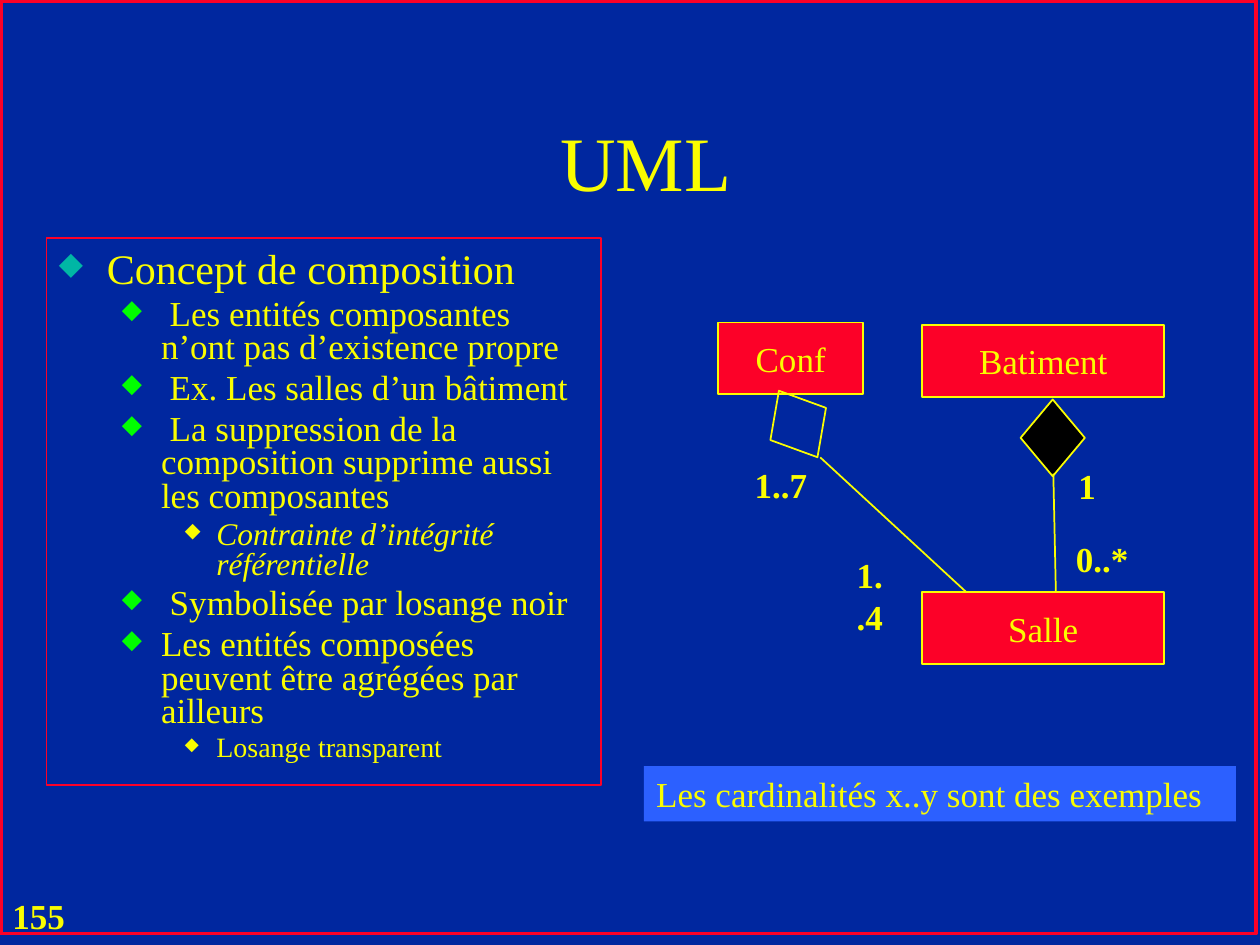
"""Build a UML slide that explains composition with a small class diagram."""
from lxml.etree import SubElement
from pptx import Presentation
from pptx.dml.color import RGBColor as Rgb
from pptx.enum.shapes import MSO_CONNECTOR as Connector, MSO_SHAPE as Preset
from pptx.enum.text import MSO_ANCHOR as Anchor, PP_ALIGN as Align
from pptx.oxml.ns import qn
from pptx.util import Inches, Pt

THEME = {
    "font": "Times New Roman",
    "background": "00279F", "text": "FAFD00", "frame": "FC0128", "entity": "FC0128",
    "note": "2C60FF", "composition": "000000",
    "title": 44, "label": 20,
}
LEVELS = [
    {"indent": 0.38, "hang": 0.38, "bullet": "00B7A5", "share": 75},
    {"indent": 0.81, "hang": 0.31, "bullet": "00FF00", "share": 75},
    {"indent": 1.25, "hang": 0.25, "bullet": "FAFD00", "share": 65},
]

deck = Presentation()
deck.slide_width, deck.slide_height = Inches(10), Inches(7.5)
COL, ROW = deck.slide_width / 100, deck.slide_height / 75
slide = deck.slides.add_slide(deck.slide_layouts[6])
slide.background.fill.solid()
slide.background.fill.fore_color.rgb = Rgb.from_string(THEME["background"])


def draw(preset, left, top, width, height, fill=None, line=None, weight=1):
    """Place a preset shape, or a text box when preset is None, on the grid."""
    place = [round(n) for n in (left * COL, top * ROW, width * COL, height * ROW)]
    if preset is None:
        return slide.shapes.add_textbox(*place)
    part = slide.shapes.add_shape(preset, *place)
    part.shadow.inherit = False
    for paint, color in ((part.fill, fill), (part.line.fill, line)):
        if color:
            paint.solid()
            paint.fore_color.rgb = Rgb.from_string(THEME[color])
        else:
            paint.background()
    if line:
        part.line.width = Pt(weight)
    return part


def write(paragraph, words, size=THEME["label"], align=Align.LEFT, **style):
    """Write one run in the theme's font and text colour."""
    paragraph.alignment = align
    run = paragraph.add_run()
    run.text = words
    run.font.color.rgb = Rgb.from_string(THEME["text"])
    for key, value in {"name": THEME["font"], "size": Pt(size), **style}.items():
        setattr(run.font, key, value)


draw(Preset.RECTANGLE, 0.1, 0.1, 99.6, 74, line="frame", weight=2)

title = draw(None, 9.4, 6.5, 85, 12.5).text_frame
title.word_wrap = True
title.vertical_anchor = Anchor.MIDDLE
write(title.paragraphs[0], "UML ", THEME["title"], Align.CENTER)

concept = draw(Preset.RECTANGLE, 3.7, 18.9, 44, 43.4, line="frame").text_frame
for key, value in {"word_wrap": True, "vertical_anchor": Anchor.TOP, "margin_top": Inches(0.11)}.items():
    setattr(concept, key, value)
points = [
    (0, "Concept de composition", 24, False),
    (1, " Les entités composantes n’ont pas d’existence propre", 20, False),
    (1, " Ex. Les salles d’un bâtiment", 20, False),
    (1, " La suppression de la composition supprime aussi les composantes", 20, False),
    (2, "Contrainte d’intégrité référentielle", 18, True),
    (1, " Symbolisée par losange noir", 20, False),
    (1, "Les entités composées peuvent être agrégées par ailleurs", 20, False),
    (2, "Losange transparent", 16, False),
]
for index, (depth, words, size, italic) in enumerate(points):
    point = concept.add_paragraph() if index else concept.paragraphs[0]
    level = LEVELS[depth]
    point.level = depth
    point.line_spacing = 0.8
    if index:
        point.space_before = Pt(0.2 * size)
    props = point._p.get_or_add_pPr()
    props.set("marL", str(Inches(level["indent"])))
    props.set("indent", str(-Inches(level["hang"])))
    SubElement(SubElement(props, qn("a:buClr")), qn("a:srgbClr"), val=level["bullet"])
    SubElement(props, qn("a:buSzPct"), val=str(level["share"] * 1000))
    SubElement(props, qn("a:buChar"), char="◆")
    write(point, words, size, italic=italic)

entities = [("Batiment", 73.2, 25.8, 19.2), ("Salle", 73.2, 47, 19.2), ("Conf", 57, 25.6, 11.5)]
for entity, left, top, width in entities:
    box = draw(Preset.RECTANGLE, left, top, width, 5.7, "entity", "text").text_frame
    box.word_wrap = False
    box.vertical_anchor = Anchor.MIDDLE
    write(box.paragraphs[0], entity, align=Align.CENTER)

draw(Preset.DIAMOND, 81, 31.7, 5.1, 6.1, "composition", "text")
draw(Preset.DIAMOND, 60.8, 30.6, 5.1, 6.1, line="text").rotation = 329.9

for x1, y1, x2, y2 in [(83.6, 37.6, 83.8, 47), (65.1, 36.3, 76.7, 47)]:
    ends = [round(n) for n in (x1 * COL, y1 * ROW, x2 * COL, y2 * ROW)]
    link = slide.shapes.add_connector(Connector.STRAIGHT, *ends)
    link.line.color.rgb = Rgb.from_string(THEME["text"])
    link.line.width = Pt(1)
    SubElement(link._element.spPr, qn("a:effectLst"))

labels = [
    ("155", 0, 70.5, 6.9, False),
    ("1", 84.6, 36.4, 3.4, False),
    ("0..*", 84.4, 42.2, 6.2, False),
    ("1..4", 67, 43.4, 4.7, True),
    ("1..7", 58.9, 36.3, 6.2, False),
]
for words, left, top, width, wrap in labels:
    label = draw(None, left, top, width, 4.3).text_frame
    label.word_wrap = wrap
    write(label.paragraphs[0], words, bold=True)

note = draw(Preset.RECTANGLE, 51.1, 60.8, 47, 4.4, "note").text_frame
note.word_wrap = True
write(note.paragraphs[0], "Les cardinalités x..y sont des exemples")

deck.save("out.pptx")
